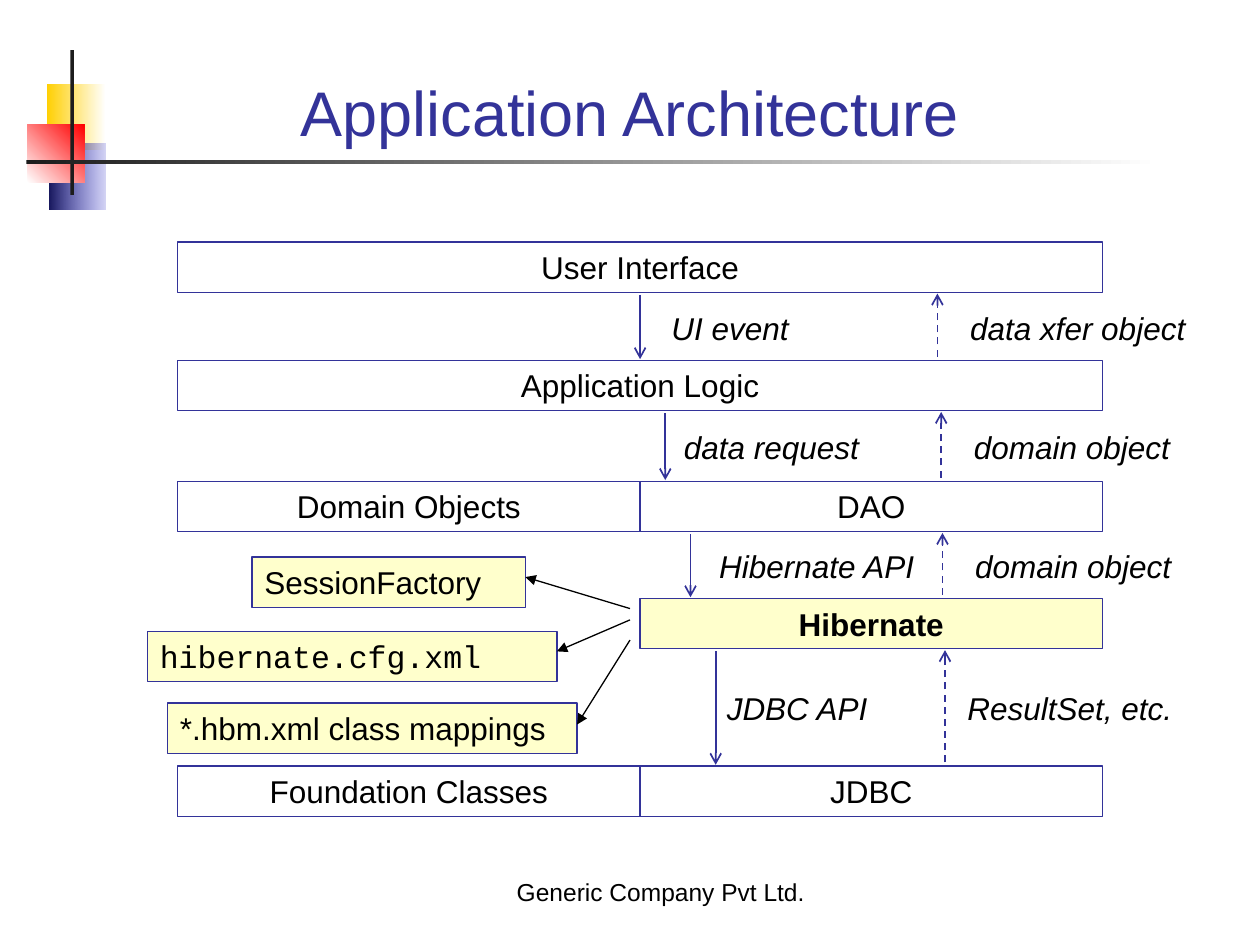
from lxml import etree
from pptx import Presentation
from pptx.dml.color import RGBColor
from pptx.enum.dml import MSO_LINE
from pptx.enum.shapes import MSO_CONNECTOR, MSO_SHAPE
from pptx.enum.text import MSO_ANCHOR, PP_ALIGN
from pptx.oxml.ns import qn
from pptx.util import Inches, Pt

RECT, STRAIGHT, DASH = MSO_SHAPE.RECTANGLE, MSO_CONNECTOR.STRAIGHT, MSO_LINE.DASH
LEFT, MID = PP_ALIGN.LEFT, PP_ALIGN.CENTER
TOP, BASE = MSO_ANCHOR.TOP, MSO_ANCHOR.BOTTOM

WIDE, TALL = 10, 7.5
BLUE, BLACK, CREAM, DARK = "333399", "000000", "FFFFCC", "1C1C1C"
EDGE, HALF, HIGH = 1.41, 3.67, 0.4  # grid of two columns

# left, top, width, height, first colour, last colour, angle, last opacity
DECOR = [
    (0.37, 0.67, 0.47, 0.52, "FFCF01", "FFFFFF", 0, 100),
    (0.39, 1.14, 0.45, 0.52, "18185E", "3333CC", 0, 20),
    (0.22, 0.99, 0.45, 0.46, "FFFFFF", "FF0000", 45, 100),
    (0.56, 0.40, 0.03, 1.15, DARK, DARK, 0, 100),
    (0.21, 1.27, 9.00, 0.03, DARK, "FFFFFF", 0, 100),
]
TITLE = "Application Architecture"
FOOTER = "Generic Company Pvt Ltd."

# top, then (text, first column, columns, fill, bold)
LAYERS = [
    (1.92, [("User Interface", 0, 2, None, False)]),
    (2.86, [("Application Logic", 0, 2, None, False)]),
    (3.82, [("Domain Objects", 0, 1, None, False), ("DAO", 1, 1, None, False)]),
    (4.75, [("Hibernate", 1, 1, CREAM, True)]),
    (6.08, [("Foundation Classes", 0, 1, None, False), ("JDBC", 1, 1, None, False)]),
]
# One per gap between layers: down x, label, its left; up x, label, its left; label top
CALLS = [
    (5.08, "UI event", 5.23, 7.44, "data xfer object", 7.60, 2.40),
    (5.28, "data request", 5.33, 7.47, "domain object", 7.63, 3.35),
    (5.48, "Hibernate API", 5.61, 7.48, "domain object", 7.64, 4.29),
    (5.68, "JDBC API", 5.67, 7.50, "ResultSet, etc.", 7.58, 5.42),
]
# text, left, top, width, font, arrow start y, arrow end y
PARTS = [
    ("SessionFactory", 2.00, 4.42, 2.17, "Arial", 4.83, 4.58),
    ("hibernate.cfg.xml", 1.17, 5.01, 3.25, "Courier New", 4.92, 5.17),
    ("*.hbm.xml class mappings", 1.33, 5.58, 3.25, "Arial", 5.08, 5.75),
]

prs = Presentation()
prs.slide_width, prs.slide_height = Inches(WIDE), Inches(TALL)
slide = prs.slides.add_slide(prs.slide_layouts[6])
shapes = slide.shapes


def tint(code):
    return RGBColor.from_string(code)


def write(shape, text, size=18, color=BLACK, align=LEFT, anchor=TOP,
          face="Arial", bold=False, italic=False):
    frame = shape.text_frame
    frame.word_wrap = True
    frame.vertical_anchor = anchor
    frame.text = text
    para = frame.paragraphs[0]
    para.alignment = align
    font = para.runs[0].font
    font.name, font.size, font.bold, font.italic = face, Pt(size), bold, italic
    font.color.rgb = tint(color)


def label(text, x, y, w, h=HIGH, **style):
    write(shapes.add_textbox(*map(Inches, (x, y, w, h))), text, **style)


def block(text, x, y, w, fill=None, **style):
    box = shapes.add_shape(RECT, *map(Inches, (x, y, w, HIGH)))
    box.shadow.inherit = False
    if fill:
        box.fill.solid()
        box.fill.fore_color.rgb = tint(fill)
    else:
        box.fill.background()
    box.line.color.rgb = tint(BLUE)
    box.line.width = Pt(0.75)
    write(box, text, **style)


def arrow(x1, y1, x2, y2, color=BLUE, width=1, head="arrow", dash=None):
    link = shapes.add_connector(STRAIGHT, *map(Inches, (x1, y1, x2, y2)))
    link.line.color.rgb = tint(color)
    link.line.width = Pt(width)
    if dash:
        link.line.dash_style = dash
    etree.SubElement(link.line._get_or_add_ln(), qn("a:tailEnd"), type=head)
    etree.SubElement(link._element.spPr, qn("a:effectLst"))


def fade(x, y, w, h, first, last, angle, alpha):
    """Draw a borderless rectangle with a two-colour gradient."""
    bar = shapes.add_shape(RECT, *map(Inches, (x, y, w, h)))
    bar.shadow.inherit = False
    bar.line.fill.background()
    bar.fill.gradient()
    bar.fill.gradient_angle = angle
    for stop, code, place in zip(bar.fill.gradient_stops, (first, last), (0, 1)):
        stop.color.rgb = tint(code)
        stop.position = place
    if alpha < 100:
        end = bar._element.spPr.findall(".//" + qn("a:srgbClr"))[-1]
        etree.SubElement(end, qn("a:alpha"), val=str(alpha * 1000))


for item in DECOR:
    fade(*item)
label(TITLE, 0.67, 0.28, 8.66, 0.95, size=36, color=BLUE, align=MID, anchor=BASE)

for top, cells in LAYERS:
    for text, col, span, fill, bold in cells:
        block(text, EDGE + col * HALF, top, span * HALF, fill, align=MID, bold=bold)

tops = [top for top, _ in LAYERS]
for upper, lower, call in zip(tops, tops[1:], CALLS):
    down, ask, ask_x, up, reply, reply_x, y = call
    arrow(down, upper + HIGH + 0.02, down, lower - 0.01)
    label(ask, ask_x, y, 1.9, italic=True)
    arrow(up, lower - 0.03, up, upper + HIGH + 0.01, dash=DASH)
    label(reply, reply_x, y, 2.01, italic=True)

for text, x, y, w, face, start, end in PARTS:
    block(text, x, y, w, CREAM, face=face)
    arrow(WIDE / 2, start, x + w, end, BLACK, 0.75, "triangle")

label(FOOTER, 3.66, 6.74, 3.17, 0.5, size=14, align=MID, anchor=BASE)
prs.save("out.pptx")
